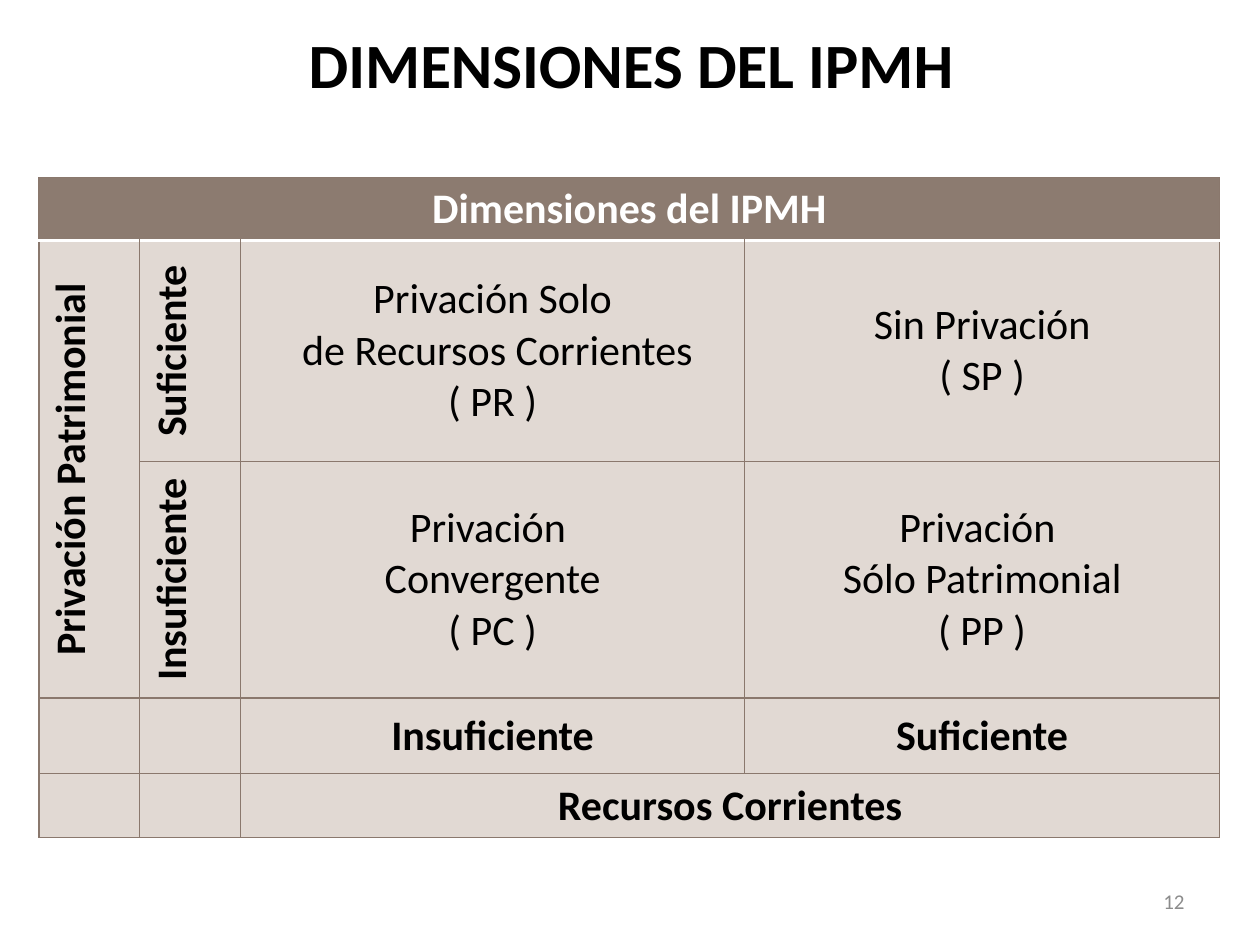
from pptx import Presentation
from pptx.dml.color import RGBColor
from pptx.enum.text import MSO_ANCHOR as Anchor, PP_ALIGN as Align
from pptx.oxml.ns import qn
from pptx.util import Inches, Pt
from lxml.etree import SubElement

BLACK = RGBColor(0x00, 0x00, 0x00)
WHITE = RGBColor(0xFF, 0xFF, 0xFF)
GRAY = RGBColor(0x8C, 0x8C, 0x8C)
HEADER = RGBColor(0x8C, 0x7B, 0x70)
CELL = RGBColor(0xE1, 0xD9, 0xD3)
BORDER = RGBColor(0x8A, 0x78, 0x6D)

COLUMNS = [0.8, 0.8, 4, 3.77]
ROWS = [0.5, 1.75, 1.88, 0.6, 0.51]
BOLD = {"size": Pt(24), "bold": True}
PLAIN = {"size": Pt(24), "bold": False}

# (row, column): lines, font format, vertical text
CONTENT = {
    (0, 0): (["Dimensiones del IPMH"], BOLD, False),
    (1, 0): (["Privación Patrimonial"], BOLD, True),
    (1, 1): (["Suficiente"], BOLD, True),
    (2, 1): (["Insuficiente"], BOLD, True),
    (1, 2): (["Privación Solo", " de Recursos Corrientes", "( PR )"], PLAIN, False),
    (1, 3): (["Sin Privación", "( SP )"], PLAIN, False),
    (2, 2): (["Privación ", "Convergente", "( PC )"], PLAIN, False),
    (2, 3): (["Privación ", "Sólo Patrimonial", "( PP )"], PLAIN, False),
    (3, 2): (["Insuficiente"], BOLD, False),
    (3, 3): (["Suficiente"], BOLD, False),
    (4, 2): (["Recursos Corrientes"], BOLD, False),
}
# First and last cell of each merged area
MERGES = [((0, 0), (0, 3)), ((1, 0), (2, 0)), ((4, 2), (4, 3))]


class SlideBuilder:
    font_name = "Calibri"

    def __init__(self, slide):
        self.slide = slide

    def add_lines(self, frame, lines, color, align, font_format):
        for index, line in enumerate(lines):
            paragraph = frame.add_paragraph() if index else frame.paragraphs[0]
            paragraph.alignment = align
            run = paragraph.add_run()
            run.text = line
            run.font.color.rgb = color
            for name, value in {"name": self.font_name, **font_format}.items():
                setattr(run.font, name, value)

    def add_text(self, box, line, color, align, font_format):
        shape = self.slide.shapes.add_textbox(*map(Inches, box))
        frame = shape.text_frame
        frame.word_wrap = True
        frame.vertical_anchor = Anchor.MIDDLE
        self.add_lines(frame, [line], color, align, font_format)

    def add_border(self, cell, side, color, width):
        properties = cell._tc.get_or_add_tcPr()
        line = SubElement(properties, qn(f"a:ln{side}"), w=str(Pt(width)))
        fill = SubElement(line, qn("a:solidFill"))
        SubElement(fill, qn("a:srgbClr"), val=str(color))

    def add_table(self, left, top, columns, rows, content, merges):
        size = Inches(sum(columns)), Inches(sum(rows))
        table = self.slide.shapes.add_table(
            len(rows), len(columns), Inches(left), Inches(top), *size).table
        table.horz_banding = False
        for column, width in zip(table.columns, columns):
            column.width = Inches(width)
        for row, height in zip(table.rows, rows):
            row.height = Inches(height)
        for first, last in merges:
            table.cell(*first).merge(table.cell(*last))

        for row in range(len(rows)):
            for column in range(len(columns)):
                cell = table.cell(row, column)
                # The rule under the header is thick and white
                for side in "LRTB":
                    under_header = (row, side) in ((0, "B"), (1, "T"))
                    style = (WHITE, 2) if under_header else (BORDER, 0.75)
                    self.add_border(cell, side, *style)
                cell.fill.solid()
                cell.fill.fore_color.rgb = CELL if row else HEADER
                cell.vertical_anchor = Anchor.MIDDLE
                if (row, column) in content:
                    lines, font_format, vertical = content[row, column]
                    color = BLACK if row else WHITE
                    self.add_lines(cell.text_frame, lines, color, Align.CENTER, font_format)
                    if vertical:
                        cell._tc.get_or_add_tcPr().set("vert", "vert270")


def main():
    presentation = Presentation()
    presentation.slide_width = Inches(10)
    presentation.slide_height = Inches(7.5)
    builder = SlideBuilder(presentation.slides.add_slide(presentation.slide_layouts[6]))

    # Title
    builder.add_text((0.02, 0.02, 9.98, 0.97), "DIMENSIONES DEL IPMH", BLACK,
                     Align.CENTER, {"size": Pt(36), "bold": True})
    # Matrix of deprivation types
    builder.add_table(0.31, 1.41, COLUMNS, ROWS, CONTENT, MERGES)
    # Slide number
    builder.add_text((7.17, 6.95, 2.33, 0.4), "12", GRAY, Align.RIGHT, {"size": Pt(12)})

    presentation.save("out.pptx")


if __name__ == "__main__":
    main()
